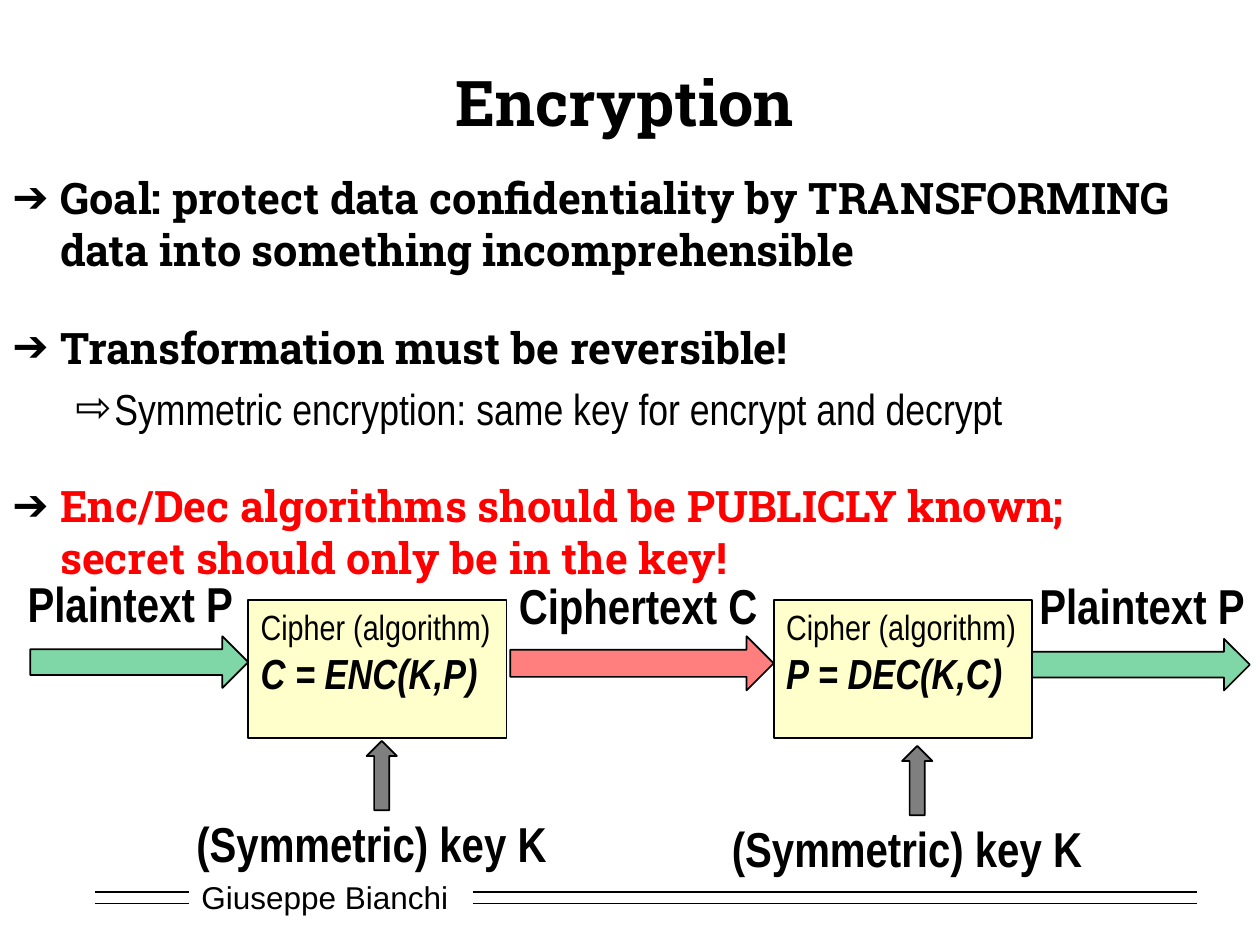
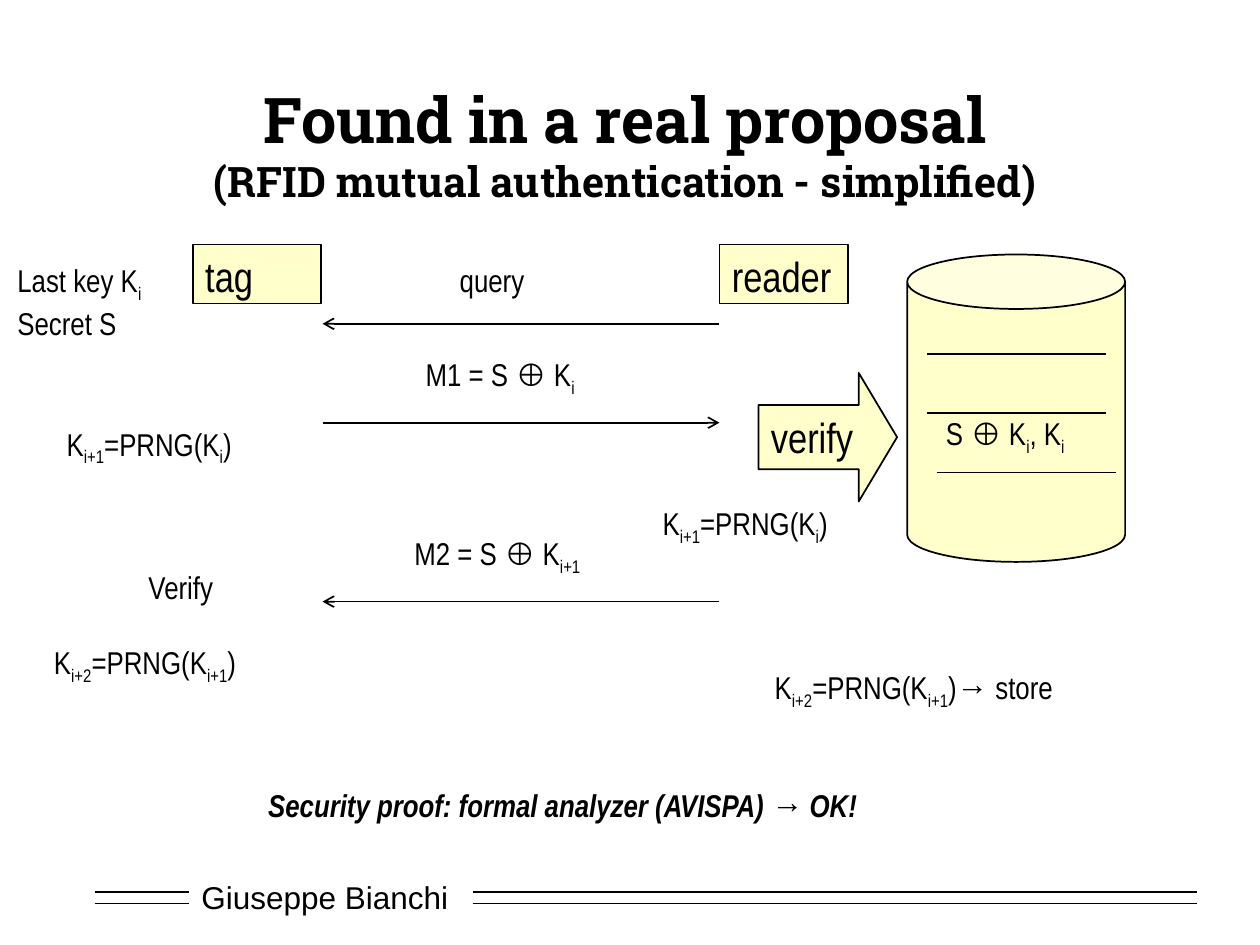
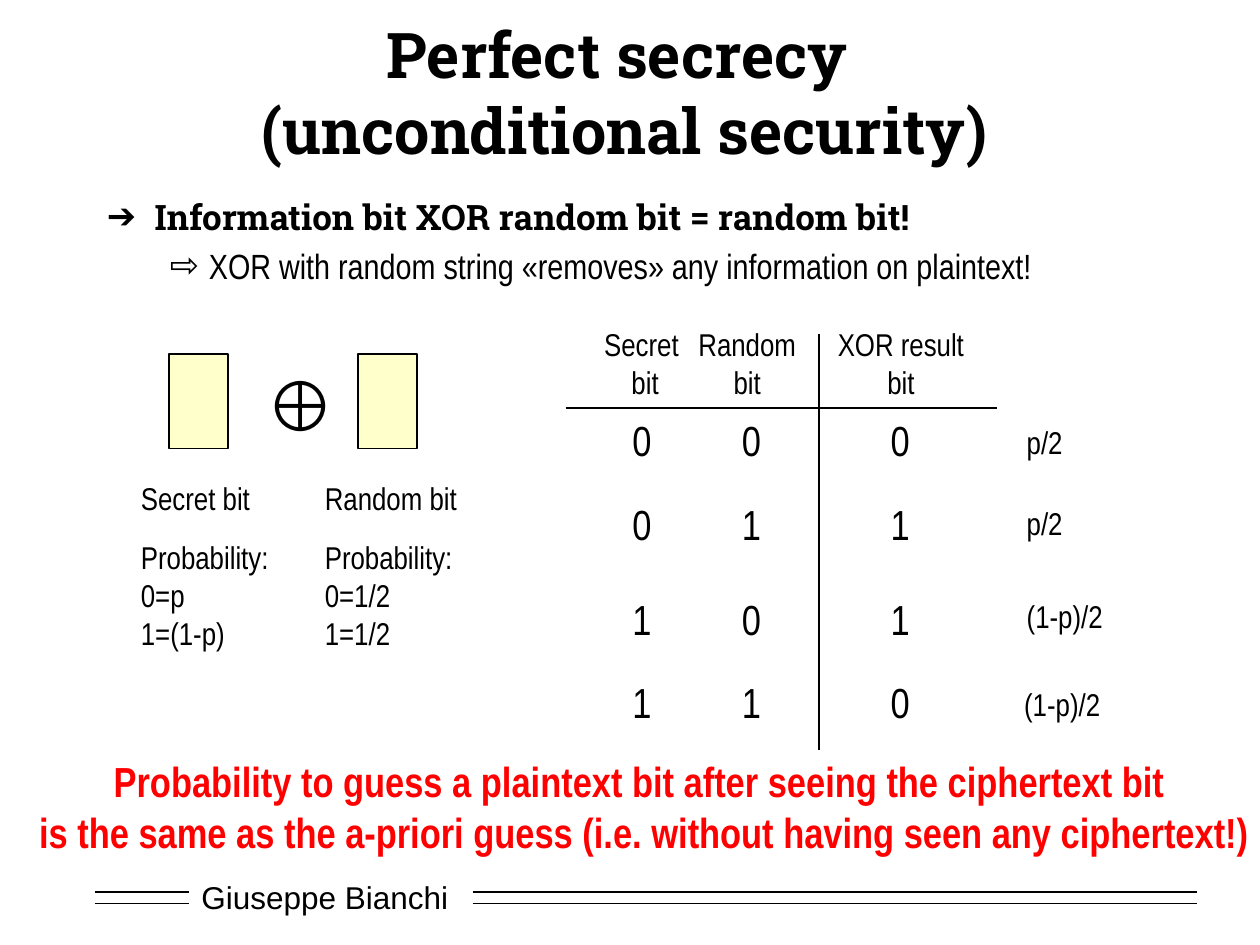
from dataclasses import dataclass, replace
from typing import Any, NamedTuple

from lxml import etree
from pptx import Presentation
from pptx import util as u
from pptx.dml.color import RGBColor
from pptx.enum import shapes, text
from pptx.oxml.ns import qn

# Grid of 100 columns by 75 rows
COLUMNS, ROWS = 100, 75
CELL = u.Inches(0.1)

COLORS = {"ink": "000000", "paper": "FFFFFF", "alert": "FF0000",
          "plain": "00B050", "box": "FFFF99"}
HALF = 50
LEFT, CENTER = text.PP_ALIGN.LEFT, text.PP_ALIGN.CENTER
SHAPE = shapes.MSO_SHAPE
FRAME_FORMAT = {"margin_left": u.Inches(0.1), "margin_right": u.Inches(0.1),
                "margin_top": u.Inches(0.05), "margin_bottom": u.Inches(0.05)}


class Box(NamedTuple):
    left: float
    top: float
    width: float
    height: float

    def lengths(self) -> list[int]:
        return [round(side * CELL) for side in self]


@dataclass(frozen=True)
class Style:
    size: float = 18
    font: str = "Arial Narrow"
    color: str = "ink"
    bold: bool = False
    italic: bool = False


@dataclass(frozen=True)
class Para:
    """Text between tildes is subscript; a line end is a line break."""
    words: str
    style: Style = Style()
    align: Any = LEFT
    before: float = 0
    bullet: str = ""
    indent: tuple[float, float] = (0, 0)


@dataclass(frozen=True)
class Block:
    kind: Any
    box: Box
    fill: str
    paras: tuple[Para, ...] = ()
    adjust: tuple[float, ...] = ()


TITLE = Style(36, "Roboto Slab", bold=True)
FOOTER = Style(18, "Arial")
FLOW = Style(28, bold=True)
NAME = Style(24)


def set_format(target: Any, values: dict[str, Any]) -> None:
    for name, value in values.items():
        setattr(target, name, value)


def rgb(color: str) -> RGBColor:
    return RGBColor.from_string(COLORS[color])


# Text
def add_run(paragraph: Any, words: str, style: Style, subscript: bool) -> None:
    run = paragraph.add_run()
    run.text = words
    set_format(run.font, {"name": style.font, "size": u.Pt(style.size),
                          "bold": style.bold, "italic": style.italic})
    run.font.color.rgb = rgb(style.color)
    if subscript:
        run._r.get_or_add_rPr().set("baseline", "-25000")


def add_bullet(paragraph: Any, para: Para) -> None:
    margin, hang = para.indent
    props = paragraph._p.get_or_add_pPr()
    props.set("marL", str(u.Inches(margin)))
    props.set("indent", str(u.Inches(hang)))
    color = etree.SubElement(props, qn("a:buClr"))
    etree.SubElement(color, qn("a:srgbClr")).set("val", COLORS["ink"])
    etree.SubElement(props, qn("a:buFont")).set("typeface", "Arial")
    etree.SubElement(props, qn("a:buChar")).set("char", para.bullet)


def write(frame: Any, paras: tuple[Para, ...], **frame_format: Any) -> None:
    set_format(frame, FRAME_FORMAT | frame_format)
    for index, para in enumerate(paras):
        paragraph = frame.add_paragraph() if index else frame.paragraphs[0]
        set_format(paragraph, {"alignment": para.align,
                               "space_before": u.Pt(para.before)})
        if para.bullet:
            add_bullet(paragraph, para)
        for number, line in enumerate(para.words.split("\n")):
            if number:
                paragraph.add_line_break()
            for part, words in enumerate(line.split("~")):
                if words:
                    add_run(paragraph, words, para.style, part % 2 == 1)


def add_label(slide: Any, box: Box, *paras: Para, wrap: bool = False) -> None:
    label = slide.shapes.add_textbox(*box.lengths())
    write(label.text_frame, paras, word_wrap=wrap,
          auto_size=text.MSO_AUTO_SIZE.SHAPE_TO_FIT_TEXT)


def add_body(slide: Any, box: Box, *paras: Para) -> None:
    body = slide.shapes.add_textbox(*box.lengths())
    write(body.text_frame, paras, word_wrap=True)


def point(words: str, size: float, before: float, color: str = "ink") -> Para:
    return Para(words, Style(size, "Roboto Slab", color, True), LEFT, before,
                "➔", (0.38, -0.38))


def subpoint(words: str, size: float, before: float) -> Para:
    return Para(words, Style(size), LEFT, before, "⇨", (0.81, -0.31))


# Shapes
def add_block(slide: Any, block: Block) -> None:
    shape = slide.shapes.add_shape(block.kind, *block.box.lengths())
    shape.shadow.inherit = False
    shape.fill.solid()
    shape.fill.fore_color.rgb = rgb(block.fill)
    tint = shape._element.spPr.find(qn("a:solidFill"))[0]
    etree.SubElement(tint, qn("a:alpha")).set("val", str(HALF * 1000))
    shape.line.color.rgb = rgb("ink")
    shape.line.width = u.Pt(1)
    for index, value in enumerate(block.adjust):
        shape.adjustments[index] = value
    if block.paras:
        write(shape.text_frame, block.paras, word_wrap=True,
              vertical_anchor=text.MSO_ANCHOR.TOP)


def add_line(slide: Any, start: tuple[float, float], end: tuple[float, float],
             arrow: bool = False) -> None:
    ends = [round(length * CELL) for length in (*start, *end)]
    line = slide.shapes.add_connector(shapes.MSO_CONNECTOR.STRAIGHT, *ends)
    line.line.color.rgb = rgb("ink")
    line.line.width = u.Pt(1)
    if arrow:
        stroke = line.line._get_or_add_ln()
        etree.SubElement(stroke, qn("a:tailEnd")).set("type", "arrow")
    etree.SubElement(line._element.spPr, qn("a:effectLst"))


# Shared frame: title and footer with its double rule
def new_slide(deck: Any, title_top: float, *heading: Para) -> Any:
    slide = deck.slides.add_slide(deck.slide_layouts[5])
    title = slide.shapes.title
    spot = Box(7.5, title_top, 84.2, 12.3).lengths()
    set_format(title, dict(zip(("left", "top", "width", "height"), spot)))
    write(title.text_frame, heading, word_wrap=True,
          vertical_anchor=text.MSO_ANCHOR.MIDDLE)
    add_label(slide, Box(15, 69.2, 21.7, 4), Para("Giuseppe Bianchi", FOOTER))
    for row in (70.8, 71.7):
        for first, last in ((7.5, 15), (37.5, 95)):
            add_line(slide, (first, row), (last, row))
    return slide


def heading(words: str, style: Style = TITLE) -> Para:
    return Para(words, style, CENTER)


def encryption(deck: Any) -> None:
    slide = new_slide(deck, 1.9, heading("Encryption"))
    size, near, far = 24.8, 5, 26
    add_body(
        slide, Box(0, 13.1, 100, 32.3),
        point("Goal: protect data confidentiality by TRANSFORMING "
              "data into something incomprehensible", size, near),
        point("Transformation must be reversible!", size, far),
        subpoint("Symmetric encryption: same key for encrypt and decrypt",
                 size, near),
        point("Enc/Dec algorithms should be PUBLICLY known;\n"
              "secret should only be in the key!", size, far, "alert"))

    # Ciphers
    for left, formula in ((19.7, "C = ENC(K,P)"), (61.4, "P = DEC(K,C)")):
        add_block(slide, Block(
            SHAPE.RECTANGLE, Box(left, 47.6, 20.5, 11), "box",
            (Para("Cipher (algorithm)", Style(20)),
             Para(formula, Style(24, bold=True, italic=True)))))

    # Data flow
    for box, fill in ((Box(2.4, 50.5, 17.3, 4.1), "plain"),
                      (Box(40.5, 50.5, 20.9, 4.3), "alert"),
                      (Box(81.9, 50.7, 17.3, 4.1), "plain")):
        add_block(slide, Block(SHAPE.RIGHT_ARROW, box, fill))
    for left, top, width, words in ((1.2, 45, 18.5, "Plaintext P"),
                                    (40.2, 45.2, 21, "Ciphertext C"),
                                    (81.5, 45.2, 18.5, "Plaintext P")):
        add_label(slide, Box(left, top, width, 5.7), Para(words, FLOW))

    # Keys
    for left, top in ((14.6, 58.8), (57.1, 59.2)):
        add_block(slide, Block(SHAPE.UP_ARROW,
                               Box(left + 14.5, top, 2.4, 5.5), "ink"))
        add_label(slide, Box(left, top + 5.3, 30.1, 5.7),
                  Para("(Symmetric) key K", FLOW))


def real_proposal(deck: Any) -> None:
    slide = new_slide(
        deck, 5.2, heading("Found in a real proposal"),
        heading("(RFID mutual authentication - simplified)",
                replace(TITLE, size=24)))
    tag_edge, reader_edge = 25.6, 57.1

    # Parties and database
    for left, party in ((15.3, "tag"), (reader_edge, "reader")):
        add_block(slide, Block(SHAPE.RECTANGLE, Box(left, 19.4, 10.2, 4.7),
                               "box", (Para(party, NAME),)))
    add_block(slide, Block(SHAPE.CAN, Box(72, 20.2, 17.3, 24.4), "box"))
    add_block(slide, Block(SHAPE.RIGHT_ARROW, Box(60.2, 29.6, 11, 10.2), "box",
                           (Para("verify", NAME),), (0.5, 0.298)))
    for left, row in ((73.6, 28.1), (73.6, 32.8), (74.4, 37.5)):
        add_line(slide, (left, row), (left + 14.2, row))

    # Messages
    for row, to_tag in ((25.7, True), (33.55, False), (47.75, True)):
        ends = [(tag_edge, row), (reader_edge, row)]
        add_line(slide, *(ends[::-1] if to_tag else ends), arrow=True)

    # Steps
    for left, top, width, words in (
            (35.5, 20.2, 8.9, "query"),
            (32.8, 27.7, 17.2, "M1 = S ⊕ K~i~"),
            (4.3, 33.2, 20.2, "K~i+1~=PRNG(K~i~)"),
            (74.1, 32.4, 14.4, "S ⊕ K~i~, K~i~"),
            (51.6, 39.5, 20.2, "K~i+1~=PRNG(K~i~)"),
            (31.9, 41.9, 19.3, "M2 = S ⊕ K~i+1~"),
            (60.5, 52.5, 32.3, "K~i+2~=PRNG(K~i+1~)→ store")):
        add_label(slide, Box(left, top, width, 5.1), Para(words))
    add_label(slide, Box(0.4, 20.2, 15.4, 9.1),
              Para("Last key K~i~"), Para("Secret S"))
    add_label(slide, Box(3.3, 44.6, 22.1, 13.1), Para("Verify", align=CENTER),
              Para("K~i+2~=PRNG(K~i+1~)", before=21), wrap=True)
    add_label(slide, Box(20.3, 61.9, 65, 5.1),
              Para("Security proof: formal analyzer (AVISPA) → OK!",
                   Style(bold=True, italic=True)))


def perfect_secrecy(deck: Any) -> None:
    slide = new_slide(deck, 1.1,
                      heading("Perfect secrecy \n(unconditional security)"))
    add_body(
        slide, Box(7.5, 15, 80.3, 9.5),
        point("Information bit XOR random bit = random bit!", 20, 4),
        subpoint("XOR with random string «removes» any information on "
                 "plaintext!", 20, 4))

    # Bits and their probabilities
    for square, left, width, bit, odds in (
            (13.4, 10.2, 10.8, "Secret bit", ("0=p", "1=(1-p)")),
            (28.4, 24.8, 12.6, "Random bit", ("0=1/2", "1=1/2"))):
        add_block(slide, Block(SHAPE.RECTANGLE,
                               Box(square, 28.1, 4.7, 7.5), "box"))
        add_label(slide, Box(left, 37.5, width, 4), Para(bit))
        add_label(slide, Box(left, 42.2, 12.3, 10.1),
                  *map(Para, ("Probability:", *odds)))
    add_label(slide, Box(20.1, 28.2, 6.3, 7.7), Para("⊕", Style(40)))

    # Truth table
    add_line(slide, (65, 26.5), (65, 59.5))
    add_line(slide, (44.9, 32.4), (79.1, 32.4))
    for left, width, head in ((46.9, 8.6, "Secret "), (54.4, 9.8, "Random"),
                              (65.4, 12.2, "XOR result")):
        add_label(slide, Box(left, 25.3, width, 7.1),
                  Para(head, align=CENTER), Para("bit", align=CENTER))
    for top, bits, chance_left, chance_top, chance in (
            (32.4, "000", 80.5, 33.1, "p/2"),
            (39.1, "011", 80.5, 39.5, "p/2"),
            (46.6, "101", 80.5, 46.9, "(1-p)/2"),
            (53.2, "110", 80.3, 53.9, "(1-p)/2")):
        for left, bit in zip((49.2, 57.9, 69.7), bits):
            add_label(slide, Box(left, top, 3.6, 5.1), Para(bit, NAME))
        add_label(slide, Box(chance_left, chance_top,
                             4.9 if chance == "p/2" else 8.1, 4), Para(chance))

    # Conclusion
    add_label(slide, Box(2, 59.5, 98.2, 9.1), Para(
        "Probability to guess a plaintext bit after seeing the ciphertext bit "
        "\nis the same as the a-priori guess (i.e. without having seen any "
        "ciphertext!)", Style(24, color="alert", bold=True), CENTER))


def main() -> None:
    deck = Presentation()
    set_format(deck, {"slide_width": COLUMNS * CELL,
                      "slide_height": ROWS * CELL})
    encryption(deck)
    real_proposal(deck)
    perfect_secrecy(deck)
    deck.save("out.pptx")


if __name__ == "__main__":
    main()
